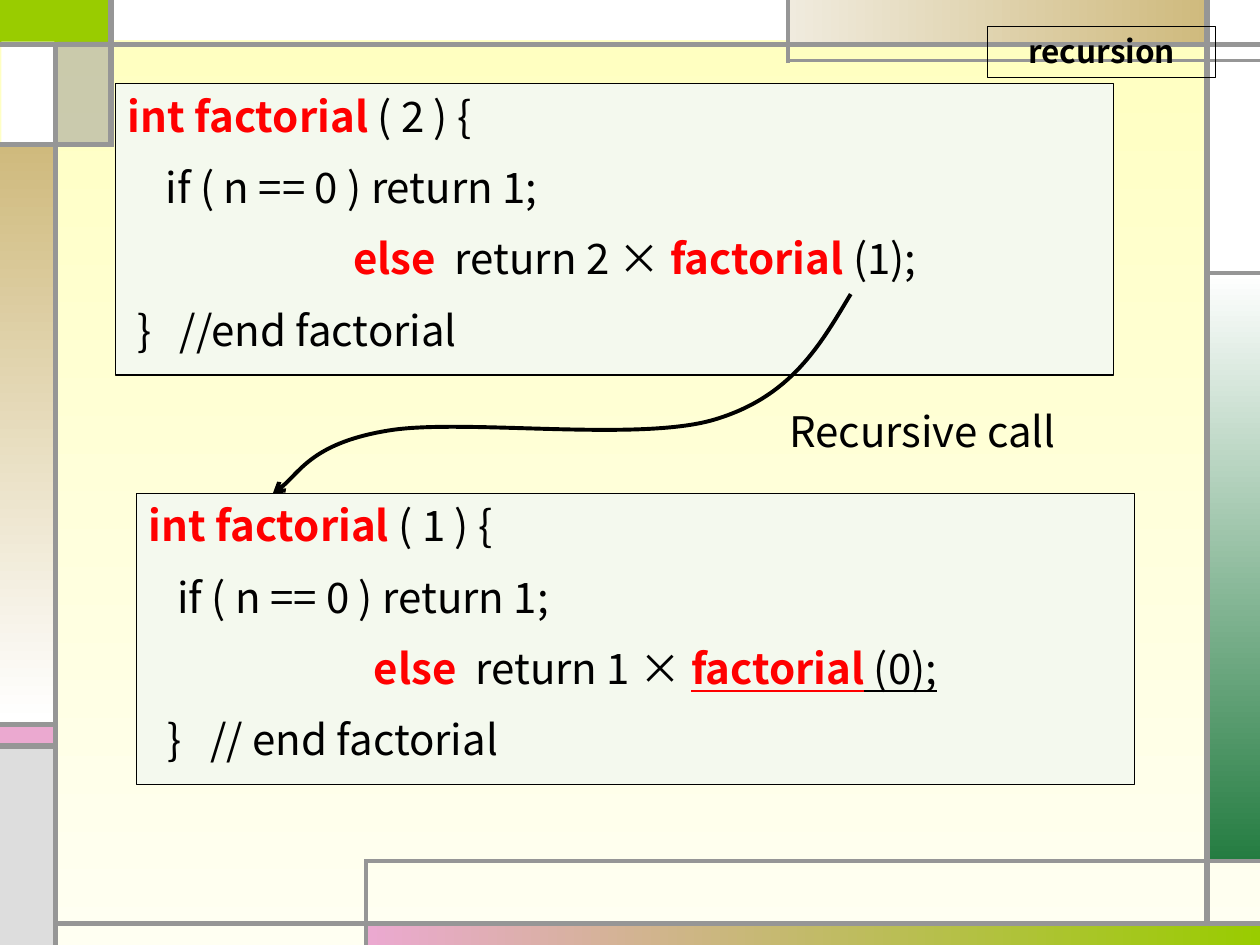
"""Builds a slide that traces a recursive factorial call."""
from pptx import Presentation
from pptx.dml.color import RGBColor
from pptx.enum.shapes import MSO_CONNECTOR, MSO_SHAPE
from pptx.enum.text import MSO_ANCHOR, PP_ALIGN
from pptx.oxml.ns import qn
from pptx.util import Cm, Pt
from lxml.etree import SubElement

BLACK = RGBColor(0x00, 0x00, 0x00)
WHITE = RGBColor(0xFF, 0xFF, 0xFF)
RED = RGBColor(0xFF, 0x00, 0x00)
GRAY = RGBColor(0x96, 0x96, 0x96)
SILVER = RGBColor(0xDD, 0xDD, 0xDD)
LIME = RGBColor(0x99, 0xCC, 0x00)
PINK = RGBColor(0xEB, 0xA9, 0xD0)
GREEN = RGBColor(0x24, 0x7C, 0x41)
SAND = RGBColor(0xCF, 0xBA, 0x7D)
PALE_SAND = RGBColor(0xF0, 0xEB, 0xDE)
CODE_FILL = RGBColor(0xF4, 0xF9, 0xEE)
YELLOW = RGBColor(0xFF, 0xFF, 0xBF)
CREAM = RGBColor(0xFF, 0xFF, 0xF2)

PLAIN, KEYWORD, BOLD = (BLACK, False, False), (RED, True, False), (BLACK, True, False)
KEYWORD_UNDERLINED, PLAIN_UNDERLINED = (RED, True, True), (BLACK, False, True)


class SlidePainter:
    """Holds the style and the current slide."""

    font_name = "Noto Sans CJK KR"

    def __init__(self, slide):
        self.slide = slide
        self.shapes = slide.shapes

    def gradient(self, fill, start, end, angle):
        fill.gradient()
        fill.gradient_angle = (360 - angle) % 360
        for stop, color, position in zip(fill.gradient_stops, (start, end), (0, 1)):
            stop.color.rgb = color
            stop.position = position

    def panel(self, left, top, width, height, color=None, end=None, angle=0, alpha=None, outlined=False):
        box = self.shapes.add_shape(MSO_SHAPE.RECTANGLE, Cm(left), Cm(top), Cm(width), Cm(height))
        box.shadow.inherit = False
        if color is None:
            box.fill.background()
        elif end is not None:
            self.gradient(box.fill, color, end, angle)
        else:
            box.fill.solid()
            box.fill.fore_color.rgb = color
        if alpha is not None:
            tint = next(box._element.spPr.iter(qn("a:srgbClr")))
            SubElement(tint, qn("a:alpha")).set("val", str(alpha * 1000))
        if outlined:
            box.line.color.rgb = BLACK
            box.line.width = Pt(0.75)
        else:
            box.line.fill.background()
        return box

    def rule(self, x1, y1, x2, y2, width=3):
        line = self.shapes.add_connector(MSO_CONNECTOR.STRAIGHT, Cm(x1), Cm(y1), Cm(x2), Cm(y2))
        line.line.color.rgb = GRAY
        line.line.width = Pt(width)
        SubElement(line._element.spPr, qn("a:effectLst"))

    def add_text(self, box, lines, size=24, align=PP_ALIGN.LEFT):
        frame = box.text_frame
        frame.word_wrap = True
        frame.vertical_anchor = MSO_ANCHOR.TOP
        for index, (indent, runs) in enumerate(lines):
            para = frame.add_paragraph() if index else frame.paragraphs[0]
            para.alignment = align
            if index:
                para.space_before = Pt(size / 2)
            if indent:
                para._p.get_or_add_pPr().set("marL", str(Cm(indent)))
            for text, (color, bold, underline) in runs:
                span = para.add_run()
                span.text = text
                span.font.name = self.font_name
                span.font.size = Pt(size)
                span.font.color.rgb = color
                span.font.bold = bold
                span.font.underline = underline

    def label(self, left, top, width, height, text):
        box = self.shapes.add_textbox(Cm(left), Cm(top), Cm(width), Cm(height))
        self.add_text(box, [(0, [(text, PLAIN)])])

    def code(self, left, top, value, if_indent, call_styles, end_indent, ending):
        name_style, argument_style = call_styles
        box = self.panel(left, top, 20.12, 5.87, CODE_FILL, outlined=True)
        self.add_text(box, [
            (0, [("int factorial", KEYWORD), (f" ( {value} ) {{", PLAIN)]),
            (if_indent, [("if ( n == 0 ) return 1;", PLAIN)]),
            (4.54, [("else", KEYWORD), (f"  return {value} × ", PLAIN),
                    ("factorial", name_style), (f" ({value - 1});", argument_style)]),
            (end_indent, [(ending, PLAIN)]),
        ])

    def curved_arrow(self, start, *controls):
        builder = self.shapes.build_freeform(Cm(start[0]), Cm(start[1]))
        builder.add_line_segments([(Cm(x), Cm(y)) for x, y in controls], close=False)
        curve = builder.convert_to_shape()
        segments = list(curve._element.iter(qn("a:lnTo")))
        outline = segments[0].getparent()
        for first in range(0, len(segments), 3):
            bezier = SubElement(outline, qn("a:cubicBezTo"))
            for segment in segments[first:first + 3]:
                bezier.append(segment[0])
                outline.remove(segment)
        curve.shadow.inherit = False
        curve.fill.background()
        curve.line.color.rgb = BLACK
        curve.line.width = Pt(2.25)
        stroke = curve._element.spPr.find(qn("a:ln"))
        SubElement(stroke, qn("a:tailEnd")).set("type", "arrow")


deck = Presentation()
deck.slide_width, deck.slide_height = Cm(25.4), Cm(19.05)
page = deck.slides.add_slide(deck.slide_layouts[6])
painter = SlidePainter(page)
painter.gradient(page.background.fill, YELLOW, CREAM, 90)

for panel in (
    (0, 0, 2.21, 0.86, LIME),
    (7.42, 18.62, 17.98, 0.43, PINK, LIME),
    (24.33, 5.51, 1.07, 11.86, WHITE, GREEN, 90),
    (0, 14.6, 1.07, 0.43, PINK),
    (0, 15.06, 1.07, 3.99, SILVER),
    (24.33, 0, 1.07, 5.51, WHITE),
    (15.88, 0, 8.46, 0.84, PALE_SAND, SAND),
    (1.17, 0.84, 1.07, 2.08, GRAY, None, 0, 50),
    (0, 2.92, 1.07, 11.63, SAND, WHITE, 90),
    (0.03, 0.84, 1.07, 2.08, WHITE),
    (2.18, 0, 13.69, 0.81, WHITE),
):
    painter.panel(*panel)

for rule in (
    (1.12, 19.05, 1.12, 0.84),
    (1.12, 18.62, 25.4, 18.62),
    (24.33, 18.62, 24.33, 0),
    (0, 0.89, 25.4, 0.89),
    (25.4, 1.22, 15.88, 1.22, 2.25),
    (15.88, 1.27, 15.88, 0, 2.25),
    (24.33, 5.51, 25.4, 5.51, 2.25),
    (2.24, 0, 2.24, 2.97),
    (2.18, 2.92, 0, 2.92),
    (7.37, 19.05, 7.37, 17.32, 2.25),
    (7.34, 17.35, 25.4, 17.35, 2.25),
    (1.17, 14.6, 0, 14.6),
    (1.17, 15.04, 0, 15.04),
):
    painter.rule(*rule)

painter.code(2.33, 1.69, 2, 0.76, (KEYWORD, PLAIN), 0.19, "}   //end factorial")
painter.code(2.75, 9.95, 1, 0.57, (KEYWORD_UNDERLINED, PLAIN_UNDERLINED), 0.38, "}   // end factorial")
painter.curved_arrow(
    (17.15, 5.93),
    (16.53, 6.96), (15.95, 8), (14.4, 8.46),
    (12.85, 8.92), (9.32, 8.43), (7.83, 8.68),
    (6.35, 8.92), (5.89, 9.73), (5.5, 9.95),
)
painter.label(15.66, 8.04, 6.99, 1.27, "Recursive call")
title = painter.panel(19.91, 0.53, 4.6, 1.04, outlined=True)
painter.add_text(title, [(0, [("recursion", BOLD)])], 18, PP_ALIGN.CENTER)

deck.save("out.pptx")
